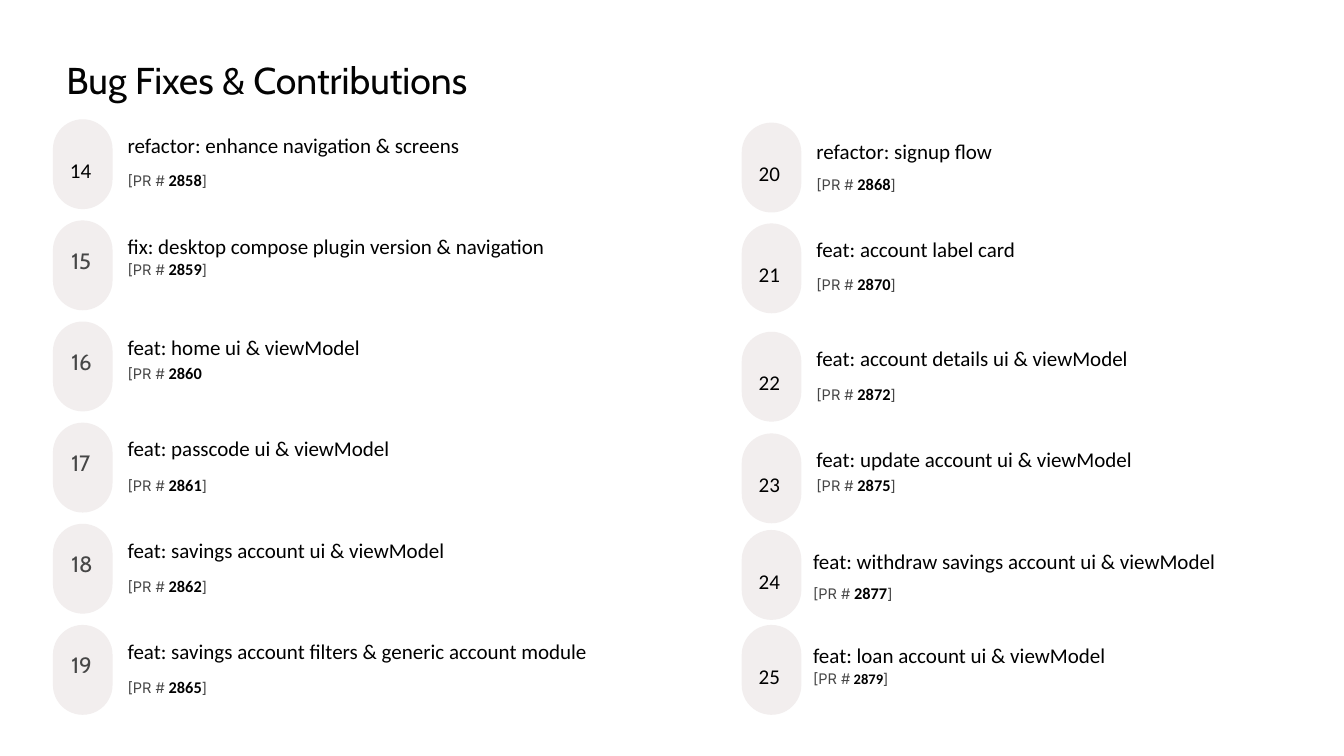
from dataclasses import dataclass

from pptx import Presentation
from pptx import util as u
from pptx.dml.color import RGBColor
from pptx.enum import shapes, text

COLS, ROWS = 16, 9


@dataclass(frozen=True)
class Theme:
    ink: str = "000000"
    heading: str = "030303"
    grey: str = "464646"
    pill: str = "F2EEEE"
    body_font: str = "Calibri"
    head_font: str = "Cabin"
    tag_font: str = "Inter"
    head_size: float = 32
    number_size: float = 19
    body_size: float = 18
    pr_size: float = 14
    tag_size: float = 12.5


@dataclass(frozen=True)
class Fix:
    """One contribution; the gaps are rows from the top of its pill."""
    number: int
    title: str
    pr: int
    pr_gap: float
    title_gap: float = 0.18
    title_left: float = 0.89
    close: str = "]"
    small_pr: bool = False
    grey_number: bool = False


class Deck:
    def __init__(self, theme):
        self.theme = theme
        self.prs = Presentation()
        self.prs.slide_width = u.Inches(16)
        self.prs.slide_height = u.Inches(9)
        self.slide = self.prs.slides.add_slide(self.prs.slide_layouts[6])

    def box(self, col, row, cols, rows):
        """Turn grid columns and rows into slide lengths."""
        x, y = self.prs.slide_width / COLS, self.prs.slide_height / ROWS
        return [u.Emu(round(n)) for n in (col * x, row * y, cols * x, rows * y)]

    def run(self, p, words, size, font, color, bold=False):
        r = p.add_run()
        r.text = words
        r.font.size = u.Pt(size)
        r.font.name = font
        r.font.bold = bold
        r.font.color.rgb = RGBColor.from_string(color)

    def label(self, col, row, cols, rows, leading, runs):
        sp = self.slide.shapes.add_textbox(*self.box(col, row, cols, rows))
        tf = sp.text_frame
        tf.word_wrap = True
        tf.margin_left = tf.margin_top = tf.margin_right = tf.margin_bottom = 0
        p = tf.paragraphs[0]
        p.line_spacing = u.Pt(leading)
        for r in runs:
            self.run(p, *r)

    def pill(self, col, row, number=None):
        t = self.theme
        sp = self.slide.shapes.add_shape(
            shapes.MSO_SHAPE.ROUNDED_RECTANGLE, *self.box(col, row, 0.71, 1.07))
        sp.adjustments[0] = 0.5
        sp.shadow.inherit = False
        sp.fill.solid()
        sp.fill.fore_color.rgb = RGBColor.from_string(t.pill)
        sp.line.fill.background()
        if number is not None:
            tf = sp.text_frame
            tf.vertical_anchor = text.MSO_ANCHOR.TOP
            tf.margin_top = u.Inches(0.35)
            p = tf.paragraphs[0]
            p.alignment = text.PP_ALIGN.LEFT
            self.run(p, str(number), t.body_size, t.body_font, t.ink)

    def fix(self, col, row, item):
        t = self.theme
        if item.grey_number:
            self.pill(col, row)
            self.label(col + 0.22, row + 0.37, 0.27, 0.33, 19,
                       [(str(item.number), t.number_size, t.head_font, t.grey)])
        else:
            self.pill(col, row, item.number)
        left = col + item.title_left
        self.label(left, row + item.title_gap, 5.5, 0.28, 20,
                   [(item.title, t.body_size, t.body_font, t.ink)])
        pr_size = t.tag_size if item.small_pr else t.pr_size
        runs = [("[PR #", t.tag_size, t.tag_font, t.grey),
                (f" {item.pr}", pr_size, t.body_font, t.ink, True)]
        if item.close:
            runs.append((item.close, t.tag_size, t.tag_font, t.grey))
        self.label(left, row + item.pr_gap, 4, 0.29, 20.5, runs)


LEFT = [
    Fix(14, "refactor: enhance navigation & screens", 2858, 0.56),
    Fix(15, "fix: desktop compose plugin version & navigation", 2859, 0.41,
        grey_number=True),
    Fix(16, "feat: home ui & viewModel", 2860, 0.45, close="",
        grey_number=True),
    Fix(17, "feat: passcode ui & viewModel", 2861, 0.57, grey_number=True),
    Fix(18, "feat: savings account ui & viewModel", 2862, 0.57,
        grey_number=True),
    Fix(19, "feat: savings account filters & generic account module", 2865,
        0.57, grey_number=True),
]
RIGHT = [
    (1.46, Fix(20, "refactor: signup flow", 2868, 0.56, title_gap=0.21)),
    (2.66, Fix(21, "feat: account label card", 2870, 0.55)),
    (3.95, Fix(22, "feat: account details ui & viewModel", 2872, 0.57)),
    (5.16, Fix(23, "feat: update account ui & viewModel", 2875, 0.45)),
    (6.31, Fix(24, "feat: withdraw savings account ui & viewModel", 2877, 0.58,
               title_gap=0.24, title_left=0.85)),
    (7.44, Fix(25, "feat: loan account ui & viewModel", 2879, 0.46,
               title_gap=0.23, title_left=0.85, small_pr=True)),
]
FIRST_ROW, LAST_ROW = 1.42, 7.44


def main():
    theme = Theme()
    deck = Deck(theme)
    deck.label(0.79, 0.66, 5.56, 0.56, 40,
               [("Bug Fixes & Contributions", theme.head_size,
                 theme.head_font, theme.heading)])
    pitch = (LAST_ROW - FIRST_ROW) / (len(LEFT) - 1)
    for i, item in enumerate(LEFT):
        deck.fix(0.63, FIRST_ROW + i * pitch, item)
    for row, item in RIGHT:
        deck.fix(8.83, row, item)
    deck.prs.save("out.pptx")


if __name__ == "__main__":
    main()
